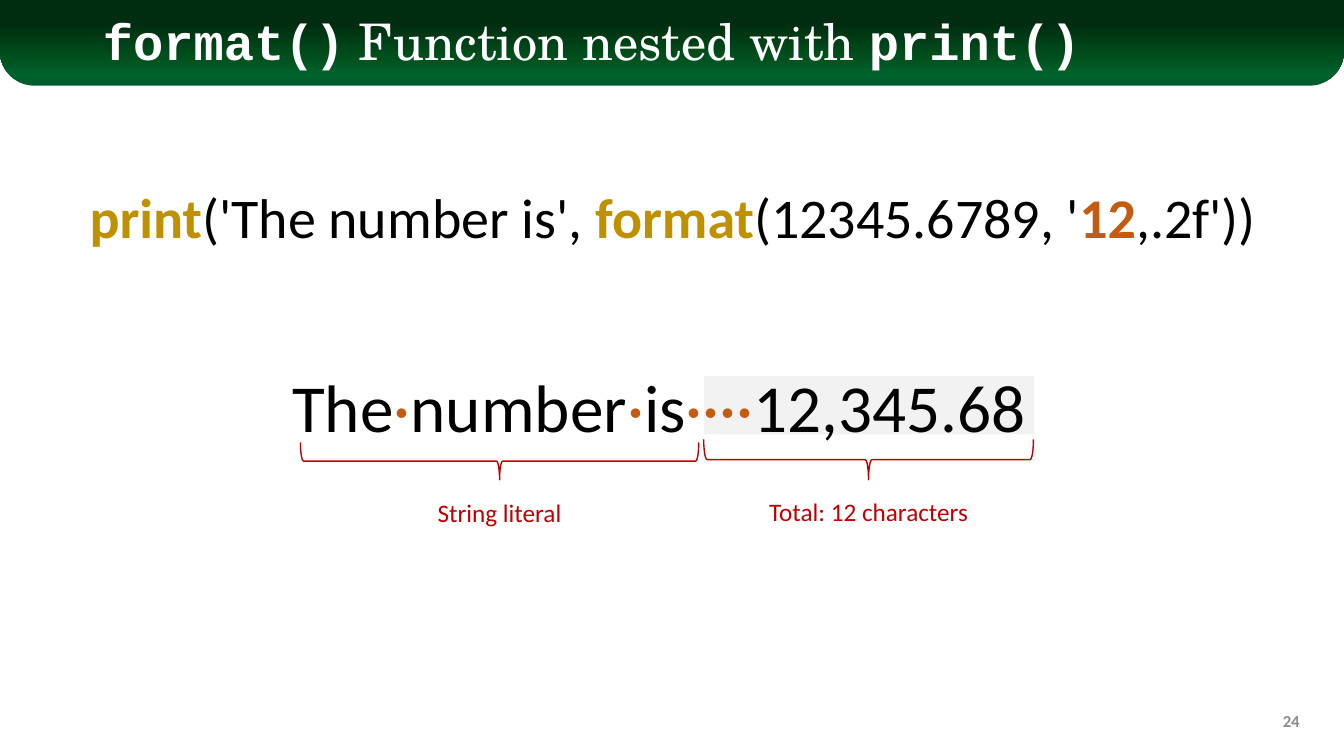
"""Build the slide on format() nested with print()."""
from lxml import etree
from pptx import Presentation
from pptx.dml.color import RGBColor
from pptx.enum.shapes import MSO_SHAPE
from pptx.enum.text import MSO_ANCHOR, MSO_AUTO_SIZE, PP_ALIGN
from pptx.oxml.ns import qn
from pptx.util import Inches, Pt

LEFT, CENTER, RIGHT = PP_ALIGN.LEFT, PP_ALIGN.CENTER, PP_ALIGN.RIGHT
TOP, MIDDLE = MSO_ANCHOR.TOP, MSO_ANCHOR.MIDDLE
RECT, BRACE = MSO_SHAPE.RECTANGLE, MSO_SHAPE.LEFT_BRACE
BANNER = MSO_SHAPE.ROUND_2_SAME_RECTANGLE

BLACK, WHITE, GOLD, ORANGE = "000000", "FFFFFF", "BF9000", "C55A11"
RED, GRAY, PALE = "C00000", "8C8C8C", "F2F2F2"
BODY, CODE, SERIF = "Calibri", "Courier New", "TeX Gyre Schola"
BANNER_STOPS = [(0, "005C2B"), (15, "00602B"), (32, "00501D"), (72, "002D10")]

TITLE = [("format()", WHITE, True, CODE),
         (" Function nested with ", WHITE, False, SERIF),
         ("print()", WHITE, True, CODE)]
CALL = [("print", GOLD, True), ("('The number is', ", BLACK, False),
        ("format", GOLD, True), ("(12345.6789, '", BLACK, False),
        ("12", ORANGE, True), (",.2f'))", BLACK, False)]
OUTPUT = [("The", BLACK, False), ("·", ORANGE, False),
          ("number", BLACK, False), ("·", ORANGE, False),
          ("is", BLACK, False), ("····", ORANGE, False),
          ("12,345.68", BLACK, False)]
BRACES = [("String literal", (2.98, 4.39, 3.95, 0.37), (4.22, 4.88, 1.47, 0.4)),
          ("Total: 12 characters", (6.98, 4.36, 3.27, 0.4), (7.5, 4.87, 2.23, 0.4))]


def rgb(value):
    return RGBColor.from_string(value)


def write(sp, runs, size, align=LEFT, anchor=TOP, wrap=False):
    tf = sp.text_frame
    tf.auto_size = MSO_AUTO_SIZE.NONE
    tf.word_wrap = wrap
    tf.vertical_anchor = anchor
    p = tf.paragraphs[0]
    p.alignment = align
    p.font.size = Pt(size)
    p.font.name = BODY
    for text, color, bold, *font in runs:
        r = p.add_run()
        r.text = text
        r.font.bold = bold
        r.font.color.rgb = rgb(color)
        if font:
            r.font.name = font[0]
    return p


def add_text(s, box, runs, size, **layout):
    sp = s.shapes.add_textbox(*map(Inches, box))
    write(sp, runs, size, **layout)


def add_shape(s, kind, box):
    sp = s.shapes.add_shape(kind, *map(Inches, box))
    sp.shadow.inherit = False
    return sp


def add_banner(s):
    sp = add_shape(s, BANNER, (0, 0, 13.33, 0.85))
    sp.adjustments[0], sp.adjustments[1] = 0, 0.4
    sp.line.fill.background()
    sp.fill.gradient()
    sp.fill.gradient_angle = 90
    stops = sp.element.spPr.find(qn("a:gradFill")).find(qn("a:gsLst"))
    for old in list(stops):
        stops.remove(old)
    for percent, color in BANNER_STOPS:
        gs = etree.SubElement(stops, qn("a:gs"), pos=str(percent * 1000))
        etree.SubElement(gs, qn("a:srgbClr"), val=color)


def add_brace(s, box):
    left, top, width, height = box
    upright = (left + (width - height) / 2, top + (height - width) / 2,
               height, width)
    sp = add_shape(s, BRACE, upright)
    sp.rotation = 270
    sp.fill.background()
    sp.line.color.rgb = rgb(RED)
    sp.line.width = Pt(1)


def main():
    prs = Presentation()
    prs.slide_width, prs.slide_height = Inches(13.33), Inches(7.5)
    s = prs.slides.add_slide(prs.slide_layouts[5])
    title = s.shapes.title
    add_banner(s)
    s.shapes[-1].element.getparent().insert(2, s.shapes[-1].element)

    title.left, title.top, title.width, title.height = map(
        Inches, (0.92, 0.13, 11.5, 0.61))
    p = write(title, TITLE, 36, anchor=MIDDLE, wrap=True)
    p.line_spacing = 0.9

    add_text(s, (9.99, 6.95, 3, 0.4), [("24", GRAY, True)], 12,
             align=RIGHT, anchor=MIDDLE, wrap=True)
    add_text(s, (0.79, 1.76, 11.89, 0.77), CALL, 40)

    field = add_shape(s, RECT, (6.98, 3.73, 3.28, 0.58))
    field.fill.solid()
    field.fill.fore_color.rgb = rgb(PALE)
    field.line.fill.background()
    add_text(s, (2.8, 3.57, 7.56, 0.91), OUTPUT, 48)

    for label, brace_box, label_box in BRACES:
        add_brace(s, brace_box)
        add_text(s, label_box, [(label, RED, False)], 18, align=CENTER)

    prs.save("out.pptx")


if __name__ == "__main__":
    main()
